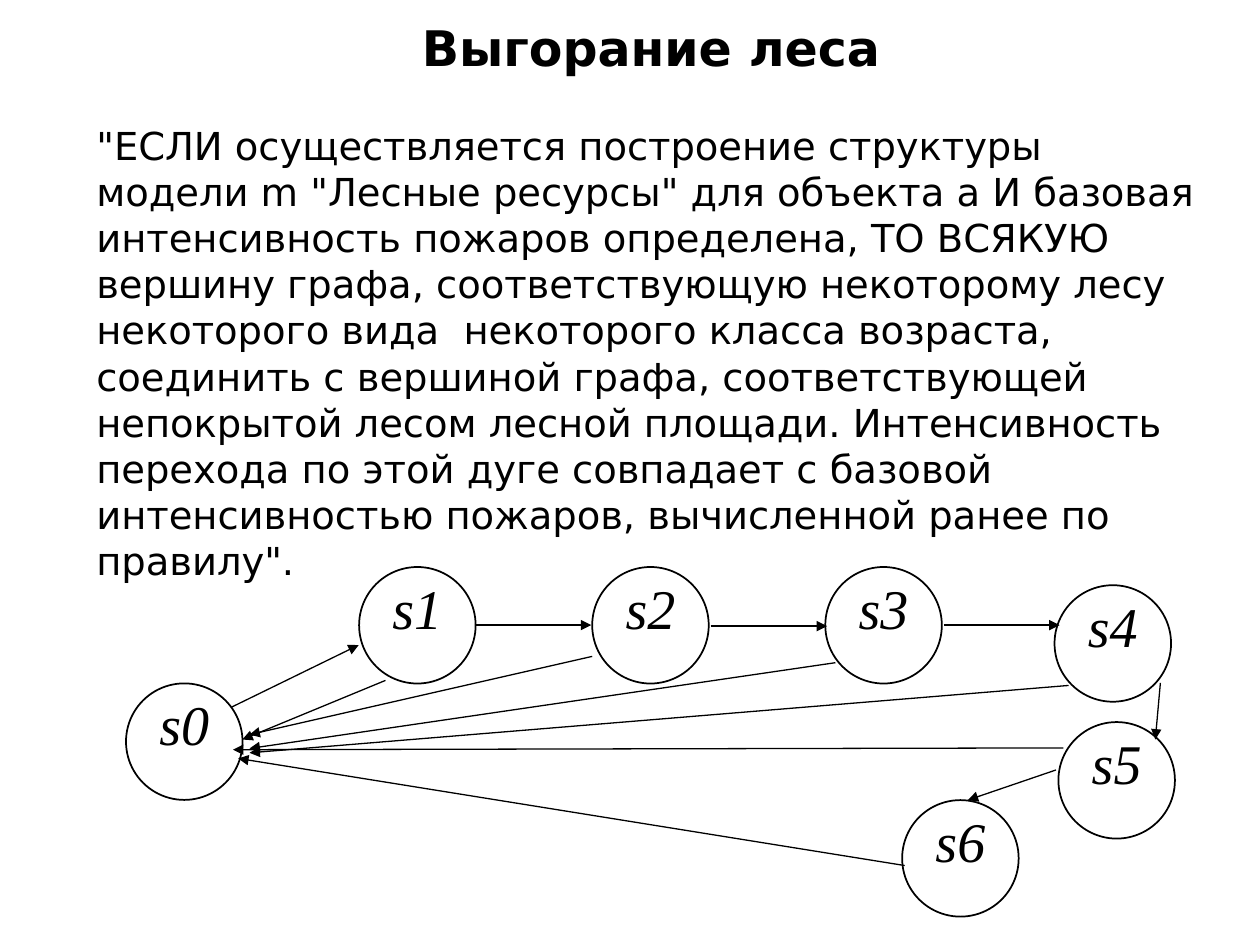
"""Build the forest burnout slide: a rule and its state transition graph."""
from lxml.etree import SubElement
from pptx import Presentation
from pptx.dml.color import RGBColor
from pptx.enum.shapes import MSO_CONNECTOR, MSO_SHAPE
from pptx.enum.text import MSO_ANCHOR, PP_ALIGN
from pptx.oxml.ns import qn
from pptx.util import Pt

BLACK = RGBColor(0, 0, 0)
WHITE = RGBColor(255, 255, 255)
SANS, SERIF = "DejaVu Sans", "Times New Roman"

TITLE = "Выгорание леса"
RULE = (
    '"ЕСЛИ осуществляется построение структуры модели m "Лесные ресурсы" '
    "для объекта a И базовая интенсивность пожаров определена, ТО ВСЯКУЮ "
    "вершину графа, соответствующую некоторому лесу некоторого вида  "
    "некоторого класса возраста, соединить с вершиной графа, соответствующей "
    "непокрытой лесом лесной площади. Интенсивность перехода по этой дуге "
    "совпадает с базовой интенсивностью пожаров, вычисленной ранее по "
    'правилу".'
)
DIAMETER = 66.6
STATES = {
    "s0": (72, 390.5),
    "s1": (205.2, 324),
    "s2": (338.4, 324),
    "s3": (471.6, 324),
    "s4": (602.6, 334.4),
    "s5": (604.8, 412.6),
    "s6": (515.5, 457.2),
}
GROWTH = [
    ((132.5, 404), (205, 368.6)),
    ((271.4, 357.2), (337.9, 357.2)),
    ((406.1, 357.8), (472.6, 357.8)),
    ((539.3, 357.2), (605.5, 357.2)),
    ((663.1, 390.2), (660.2, 422.6)),
    ((603.4, 440), (553, 457.2)),
]
BURNING = [
    ((220.3, 388.8), (138.5, 422.6)),
    ((338.4, 375.1), (142.6, 419.8)),
    ((477.4, 378.7), (142.6, 427.7)),
    ((610.6, 391.7), (142.6, 430.2)),
    ((607.7, 427.4), (133.2, 428.4)),
    ((517, 494.6), (136.1, 433.4)),
]


def add_run(p, text, font, size, bold=False, italic=False):
    r = p.add_run()
    r.text = text
    r.font.name, r.font.size = font, Pt(size)
    r.font.bold, r.font.italic = bold, italic
    r.font.color.rgb = BLACK


def add_textbox(s, left, top, width, height):
    tf = s.shapes.add_textbox(Pt(left), Pt(top), Pt(width), Pt(height)).text_frame
    tf.word_wrap = True
    return tf.paragraphs[0]


def add_state(s, name, left, top):
    sp = s.shapes.add_shape(
        MSO_SHAPE.OVAL, Pt(left), Pt(top), Pt(DIAMETER), Pt(DIAMETER)
    )
    sp.shadow.inherit = False
    sp.fill.solid()
    sp.fill.fore_color.rgb = WHITE
    sp.line.color.rgb = BLACK
    sp.line.width = Pt(1)
    p = add_textbox(s, left, top, DIAMETER, DIAMETER)
    p.alignment = PP_ALIGN.CENTER
    add_run(p, name, SERIF, 32, italic=True)


def add_arrow(s, start, end):
    points = [Pt(v) for v in (*start, *end)]
    line = s.shapes.add_connector(MSO_CONNECTOR.STRAIGHT, *points)
    line.line.color.rgb = BLACK
    line.line.width = Pt(0.75)
    SubElement(line.line._get_or_add_ln(), qn("a:tailEnd"), type="triangle")
    SubElement(line._element.spPr, qn("a:effectLst"))


def main():
    prs = Presentation()
    prs.slide_width, prs.slide_height = Pt(720), Pt(540)
    s = prs.slides.add_slide(prs.slide_layouts[5])

    title = s.shapes.title
    title.left, title.top = Pt(66), Pt(-18)
    title.width, title.height = Pt(612), Pt(90)
    tf = title.text_frame
    tf.vertical_anchor = MSO_ANCHOR.MIDDLE
    tf.paragraphs[0].alignment = PP_ALIGN.CENTER
    add_run(tf.paragraphs[0], TITLE, SANS, 28, bold=True)

    add_run(add_textbox(s, 48, 66, 642, 245), RULE, SANS, 22)

    for name, (left, top) in STATES.items():
        add_state(s, name, left, top)
    for start, end in GROWTH + BURNING:
        add_arrow(s, start, end)

    prs.save("out.pptx")


if __name__ == "__main__":
    main()
